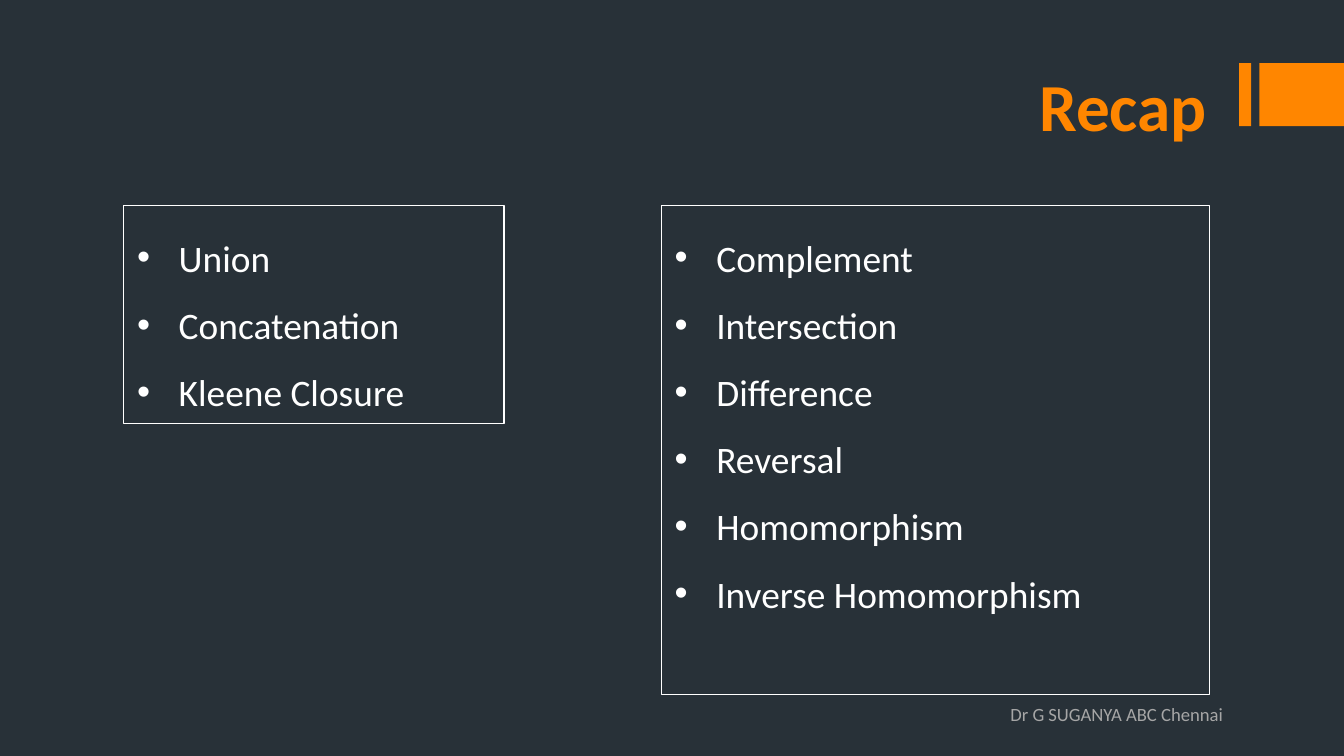
from dataclasses import dataclass

from pptx import Presentation
from pptx.dml.color import RGBColor
from pptx.enum.shapes import MSO_SHAPE
from pptx.enum.text import MSO_ANCHOR, MSO_AUTO_SIZE, PP_ALIGN
from pptx.util import Inches, Pt

RECT = MSO_SHAPE.RECTANGLE
TOP = MSO_ANCHOR.TOP
NO_FIT = MSO_AUTO_SIZE.NONE
LEFT, RIGHT = PP_ALIGN.LEFT, PP_ALIGN.RIGHT

FONT = "Calibri"
DARK, ORANGE, WHITE, GRAY = "283138", "FF8600", "FFFFFF", "A6A6A6"
TWO_CONTENT = 3
INDENT = Inches(0.31)


@dataclass
class Bar:
    left: float
    width: float


@dataclass
class ListBox:
    idx: int
    left: float
    width: float
    height: float
    items: list[str]


BARS = [Bar(9.22, 0.09), Bar(9.37, 0.63)]
LISTS = [
    ListBox(1, 0.92, 2.83, 1.62, ["Union", "Concatenation", "Kleene Closure"]),
    ListBox(2, 4.92, 4.08, 3.64, [
        "Complement", "Intersection", "Difference",
        "Reversal", "Homomorphism", "Inverse Homomorphism",
    ]),
]


def rgb(color: str) -> RGBColor:
    return RGBColor.from_string(color)


def place(sp, left: float, top: float, width: float, height: float) -> None:
    sp.left, sp.top = Inches(left), Inches(top)
    sp.width, sp.height = Inches(width), Inches(height)


def set_frame(tf, inset_top: float = 0.05) -> None:
    tf.word_wrap = True
    tf.auto_size = NO_FIT
    tf.vertical_anchor = TOP
    tf.margin_left = tf.margin_right = Inches(0.1)
    tf.margin_top, tf.margin_bottom = Inches(inset_top), Inches(0.05)


def set_text(p, text: str, size: float, color: str, align, bold: bool = False) -> None:
    p.text = text
    p.alignment = align
    p.font.name = FONT
    p.font.size = Pt(size)
    p.font.bold = bold
    p.font.color.rgb = rgb(color)


def draw_bar(s, bar: Bar) -> None:
    sp = s.shapes.add_shape(RECT, Inches(bar.left), Inches(0.47), Inches(bar.width), Inches(0.47))
    sp.shadow.inherit = False
    sp.fill.solid()
    sp.fill.fore_color.rgb = rgb(ORANGE)
    sp.line.fill.background()


def draw_list(s, box: ListBox) -> None:
    sp = s.placeholders[box.idx]
    place(sp, box.left, 1.53, box.width, box.height)
    sp.line.color.rgb = rgb(WHITE)
    sp.line.width = Pt(0.75)
    tf = sp.text_frame
    set_frame(tf)
    for i, item in enumerate(box.items):
        p = tf.add_paragraph() if i else tf.paragraphs[0]
        set_text(p, item, 20, WHITE, LEFT)
        p.line_spacing = 1.5
        p.space_before = Pt(0)
        pPr = p._p.get_or_add_pPr()
        pPr.set("marL", str(INDENT))
        pPr.set("indent", str(-INDENT))


def main() -> None:
    prs = Presentation()
    prs.slide_width = Inches(10)
    prs.slide_height = prs.slide_width * 9 // 16
    s = prs.slides.add_slide(prs.slide_layouts[TWO_CONTENT])
    s.background.fill.solid()
    s.background.fill.fore_color.rgb = rgb(DARK)

    for bar in BARS:
        draw_bar(s, bar)

    title = s.shapes.title
    place(title, 2.33, 0.43, 6.75, 0.96)
    set_frame(title.text_frame)
    set_text(title.text_frame.paragraphs[0], "Recap", 36, ORANGE, RIGHT, bold=True)

    footer = s.shapes.add_textbox(Inches(7.42), Inches(5.23), Inches(2.46), Inches(0.25))
    set_frame(footer.text_frame, inset_top=0)
    set_text(footer.text_frame.paragraphs[0], "Dr G SUGANYA ABC Chennai", 10, GRAY, LEFT)

    for box in LISTS:
        draw_list(s, box)

    prs.save("out.pptx")


if __name__ == "__main__":
    main()
